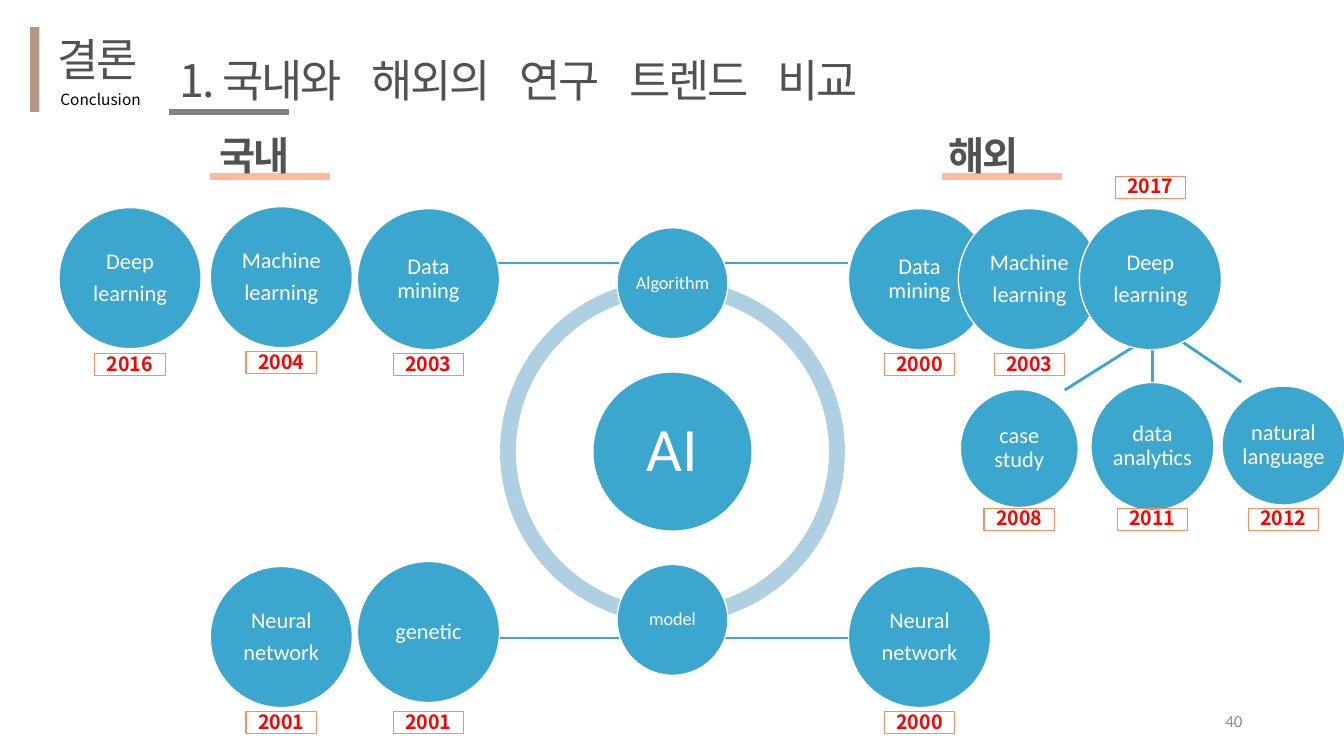
"""Build a slide comparing domestic and overseas AI research trends."""
from dataclasses import dataclass

from lxml.etree import SubElement
from pptx import Presentation
from pptx.dml.color import RGBColor
from pptx.enum.shapes import MSO_CONNECTOR, MSO_SHAPE
from pptx.enum.text import MSO_ANCHOR, PP_ALIGN
from pptx.oxml.ns import qn
from pptx.util import Inches, Pt


@dataclass(frozen=True)
class Theme:
    """Colours, fonts and type sizes."""
    blue: str = "3BA6CE"
    ring: str = "AFD0E3"
    white: str = "FFFFFF"
    black: str = "000000"
    ink: str = "525252"
    gray: str = "808080"
    number: str = "8C8C8C"
    tan: str = "B49885"
    peach: str = "FFB99F"
    orange: str = "FF8B5F"
    red: str = "FF0000"
    latin: str = "Calibri"
    korean: str = "Noto Sans CJK KR"
    title: int = 32
    heading: int = 28
    hub: int = 44
    node: int = 16
    year: int = 14
    joint: int = 13
    page: int = 12
    caption: int = 11


THEME = Theme()
TITLE_WORDS = ["1. 국내와", "해외의", "연구", "트렌드", "비교"]
COLUMNS = {"first": 1.29, "second": 2.79, "third": 4.25, "hub": 6.67,
           "fourth": 9.12, "fifth": 10.21, "sixth": 11.41,
           "case": 10.11, "data": 11.43, "natural": 12.73}
BIG = (1.41, 1.4)
DEEP, MACHINE = ["Deep", "learning"], ["Machine", "learning"]
NEURAL, MINING = ["Neural", "network"], ["Data mining"]
NODES = [
    ("first", 2.76, BIG, DEEP, "2016", 3.62),
    ("second", 2.75, BIG, MACHINE, "2004", 3.6),
    ("third", 2.77, BIG, MINING, "2003", 3.62),
    ("second", 6.32, BIG, NEURAL, "2001", 7.17),
    ("third", 6.27, BIG, ["genetic"], "2001", 7.17),
    ("fourth", 2.77, BIG, MINING, "2000", 3.62),
    ("fifth", 2.77, BIG, MACHINE, "2003", 3.62),
    ("sixth", 2.77, BIG, DEEP, "2017", 1.86),
    ("fourth", 6.32, BIG, NEURAL, "2000", 7.17),
    ("case", 4.45, (1.17, 1.17), ["case study"], "2008", 5.15),
    ("data", 4.43, (1.22, 1.27), ["data analytics"], "2011", 5.15),
    ("natural", 4.42, (1.22, 1.18), ["natural language"], "2012", 5.15),
]
HUBS = [("AI", 4.48, 1.58, THEME.hub), ("Algorithm", 2.81, 1.1, THEME.joint),
        ("model", 6.15, 1.1, THEME.joint)]
RING_SIZE, RING_ANGLES, RING_WIDTH = 3.42, (54, 162), 0.046
ARM_ROWS = (2.61, 6.33)
ARM_SPANS = ((6.14, 4.92), (8.41, 7.19))
BRANCHES = [(11.37, 3.36, 10.56, 3.87), (11.43, 3.43, 11.43, 3.86),
            (11.71, 3.38, 12.31, 3.79)]
HEADINGS = [("국내", 2.08, 2.08), ("해외", 9.31, 9.34)]
HEADING_TOP, HEADING_RULE, RULE_WIDTH = 1.25, 1.75, 1.19
YEAR_SIZE = (0.7, 0.22)


def color(value):
    return RGBColor.from_string(value)


def style(span, size, ink, face, bold=False, tracking=None):
    for name, value in {"size": Pt(size), "name": face, "bold": bold}.items():
        setattr(span.font, name, value)
    span.font.color.rgb = color(ink)
    properties = span.font._element
    SubElement(properties, qn("a:ea")).set("typeface", face)
    if tracking is not None:
        properties.set("spc", str(round(tracking * 100)))


def set_frame(shape, inset=None, wrap=True, anchor=MSO_ANCHOR.MIDDLE):
    frame = shape.text_frame
    values = {"word_wrap": wrap, "vertical_anchor": anchor}
    if inset is not None:
        sides = ("left", "right", "top", "bottom")
        values.update({f"margin_{side}": Inches(inset) for side in sides})
    for name, value in values.items():
        setattr(frame, name, value)
    return frame


def write_lines(frame, lines, align, size, ink, face, spacing=None, after=0, **extra):
    for index, line in enumerate(lines):
        para = frame.add_paragraph() if index else frame.paragraphs[0]
        layout = {"alignment": align, "line_spacing": spacing,
                  "space_before": Pt(0), "space_after": Pt(after)}
        for name, value in layout.items():
            setattr(para, name, value)
        span = para.add_run()
        span.text = line
        style(span, size, ink, face, **extra)


def add_text(page, area, text, align, size, ink, face, wrap=False,
             anchor=MSO_ANCHOR.TOP, **extra):
    box = page.shapes.add_textbox(*map(Inches, area))
    frame = set_frame(box, wrap=wrap, anchor=anchor)
    write_lines(frame, [text], align, size, ink, face, **extra)


def add_shape(page, kind, center, size, fill=None, line=None, weight=1):
    corner = [middle - length / 2 for middle, length in zip(center, size)]
    shape = page.shapes.add_shape(kind, *map(Inches, (*corner, *size)))
    shape.shadow.inherit = False
    if fill:
        shape.fill.solid()
        shape.fill.fore_color.rgb = color(fill)
    else:
        shape.fill.background()
    if line:
        shape.line.color.rgb = color(line)
        shape.line.width = Pt(weight)
    else:
        shape.line.fill.background()
    return shape


def add_line(page, ends, ink=THEME.blue, weight=2):
    line = page.shapes.add_connector(MSO_CONNECTOR.STRAIGHT, *map(Inches, ends))
    line.line.color.rgb = color(ink)
    line.line.width = Pt(weight)
    SubElement(line._element.spPr, qn("a:effectLst"))


def add_circle(page, center, size, lines, type_size):
    circle = add_shape(page, MSO_SHAPE.OVAL, center, size, THEME.blue, THEME.white)
    write_lines(set_frame(circle, 0.02), lines, PP_ALIGN.CENTER, type_size,
                THEME.white, THEME.latin, spacing=0.9, after=type_size * 0.35)


def add_year(page, center, year):
    tag = add_shape(page, MSO_SHAPE.RECTANGLE, center, YEAR_SIZE,
                    line=THEME.orange, weight=0.75)
    write_lines(set_frame(tag, 0.04), [year], PP_ALIGN.CENTER, THEME.year,
                THEME.red, THEME.korean, spacing=0.9, bold=True)


def add_title(page):
    title = page.shapes.title
    area = {"left": 1.68, "top": 0.47, "width": 7.6, "height": 0.64}
    for name, value in area.items():
        setattr(title, name, Inches(value))
    para = set_frame(title, wrap=False).paragraphs[0]
    para.alignment = PP_ALIGN.LEFT
    for index, word in enumerate(TITLE_WORDS):
        pieces = [(" ", 13.5), (word, -1.5)] if index else [(word, -1.5)]
        for text, tracking in pieces:
            span = para.add_run()
            span.text = text
            style(span, THEME.title, THEME.ink, THEME.korean, tracking=tracking)
    add_line(page, (1.68, 1.11, 1.68 + RULE_WIDTH, 1.11), THEME.gray, 4.5)


def add_header(page):
    add_text(page, (0.47, 0.27, 1.01, 0.64), "결론", PP_ALIGN.LEFT, THEME.title,
             THEME.ink, THEME.korean, tracking=-1.5)
    add_shape(page, MSO_SHAPE.RECTANGLE, (0.345, 0.69), (0.09, 0.84), THEME.tan)
    add_text(page, (0.5, 0.84, 1.85, 0.29), "Conclusion", PP_ALIGN.LEFT,
             THEME.caption, THEME.black, THEME.korean, wrap=True)
    add_title(page)
    for text, left, rule in HEADINGS:
        add_line(page, (rule, HEADING_RULE, rule + RULE_WIDTH, HEADING_RULE),
                 THEME.peach, 4.5)
        add_text(page, (left, HEADING_TOP, 0.89, 0.57), text, PP_ALIGN.LEFT,
                 THEME.heading, THEME.ink, THEME.latin, bold=True, tracking=-1.5)


def add_diagram(page):
    hub = COLUMNS["hub"]
    for start, end in (RING_ANGLES, RING_ANGLES[::-1]):
        arc = add_shape(page, MSO_SHAPE.BLOCK_ARC, (hub, HUBS[0][1]),
                        (RING_SIZE, RING_SIZE), THEME.ring)
        for index, value in enumerate((start * 0.6, end * 0.6, RING_WIDTH)):
            arc.adjustments[index] = value
    arms = [(start, row, end, row) for row in ARM_ROWS for start, end in ARM_SPANS]
    for ends in arms + BRANCHES:
        add_line(page, ends)
    for text, row, size, type_size in HUBS:
        add_circle(page, (hub, row), (size, size), [text], type_size)
    for column, row, size, lines, _, _ in NODES:
        add_circle(page, (COLUMNS[column], row), size, lines, THEME.node)
    for column, _, _, _, year, year_row in NODES:
        add_year(page, (COLUMNS[column], year_row), year)


def main():
    deck = Presentation()
    deck.slide_width, deck.slide_height = Inches(13.33), Inches(7.5)
    page = deck.slides.add_slide(deck.slide_layouts[5])
    add_header(page)
    add_diagram(page)
    add_text(page, (9.42, 6.95, 3, 0.4), "40", PP_ALIGN.RIGHT, THEME.page,
             THEME.number, THEME.latin, wrap=True, anchor=MSO_ANCHOR.MIDDLE)
    deck.save("out.pptx")


if __name__ == "__main__":
    main()
